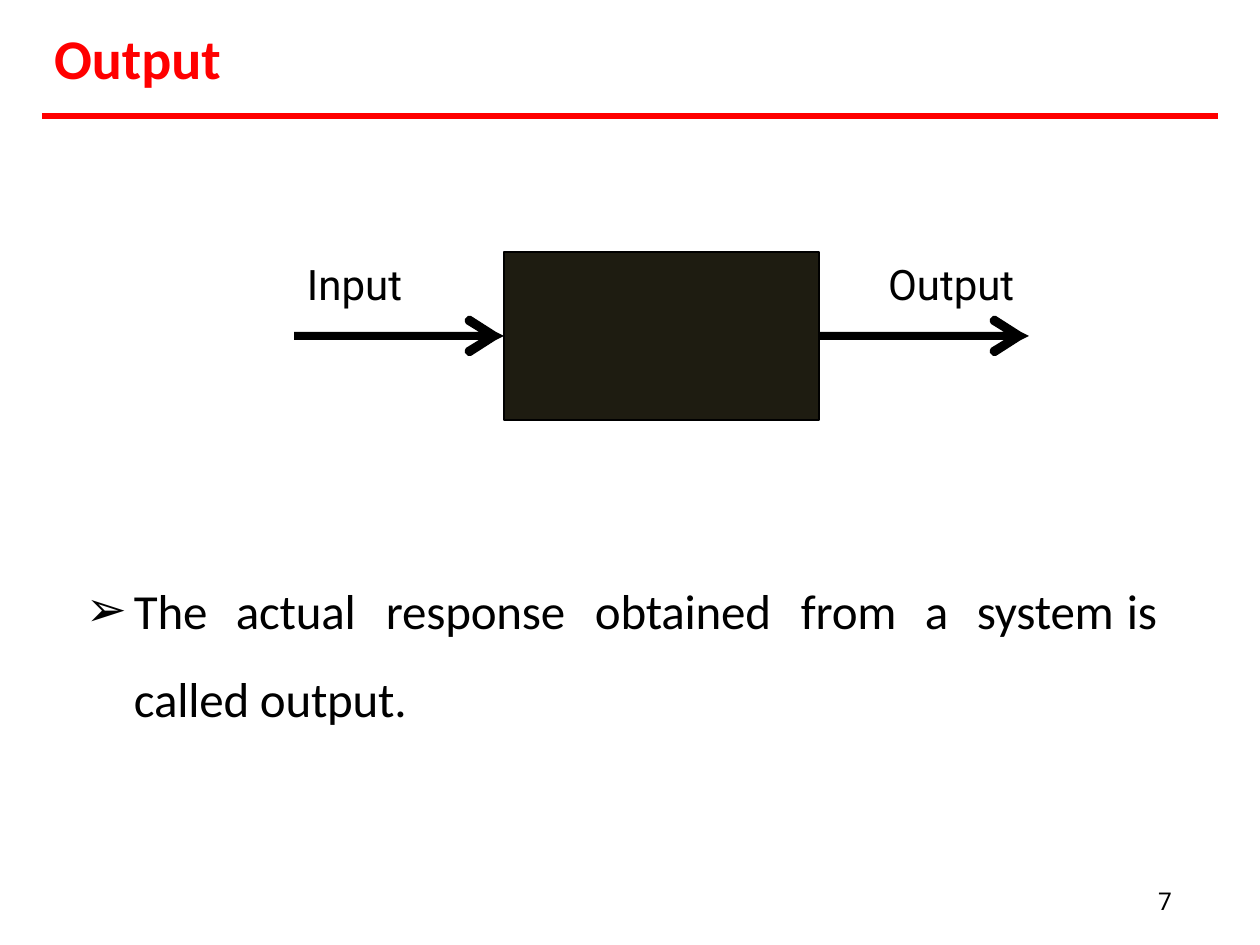
"""Build the slide that defines the output of a system."""
from dataclasses import dataclass

from lxml.etree import SubElement
from pptx import Presentation
from pptx.dml.color import RGBColor
from pptx.enum.shapes import MSO_CONNECTOR, MSO_SHAPE
from pptx.enum.text import MSO_ANCHOR, MSO_AUTO_SIZE
from pptx.enum.text import PP_ALIGN
from pptx.oxml.ns import qn
from pptx.util import Emu, Inches, Pt

RED = RGBColor(0xFF, 0x00, 0x00)
BLACK = RGBColor(0x00, 0x00, 0x00)
DARK = RGBColor(0x1E, 0x1C, 0x11)
PX_PER_INCH = 126
ARROW_HEAD = ((-25, -4), (-38, -12), (-39, -14), (-39, -17), (-36, -20),
              (-33, -20), (-8, -4))


@dataclass(frozen=True)
class Box:
    left: int
    top: int
    width: int
    height: int

    def emu(self) -> tuple[Emu, ...]:
        return tuple(px(v) for v in (self.left, self.top, self.width, self.height))


@dataclass(frozen=True)
class Signal:
    label: str
    label_box: Box
    start: int


def px(value: int) -> Emu:
    return Emu(round(value * 914400 / PX_PER_INCH))


def put_text(sp, box: Box, text: str, *, size: int, font: str = "Roboto",
             color: RGBColor = BLACK, bold: bool = False, before: float = 1,
             line_spacing: float = 1.0, indent: int = 0, spacing: int = 0):
    sp.left, sp.top, sp.width, sp.height = box.emu()
    tf = sp.text_frame
    tf.word_wrap = True
    tf.auto_size = MSO_AUTO_SIZE.NONE
    tf.vertical_anchor = MSO_ANCHOR.TOP
    tf.margin_left = px(indent)
    tf.margin_right = tf.margin_bottom = 0
    tf.margin_top = Inches(0.01)
    p = tf.paragraphs[0]
    p.alignment = PP_ALIGN.LEFT
    p.space_before = Pt(before)
    p.line_spacing = line_spacing
    r = p.add_run()
    r.text = text
    r.font.name, r.font.size, r.font.bold = font, Pt(size), bold
    r.font.color.rgb = color
    r._r.get_or_add_rPr().set("spc", str(spacing))
    return p


def set_bullet(p, char: str, hanging: int, tabs: tuple[int, ...]) -> None:
    pPr = p._p.get_or_add_pPr()
    pPr.set("marL", str(px(hanging)))
    pPr.set("indent", str(-px(hanging - 1)))
    SubElement(pPr, qn("a:buChar")).set("char", char)
    tab_list = SubElement(pPr, qn("a:tabLst"))
    for pos in tabs:
        tab = SubElement(tab_list, qn("a:tab"))
        tab.set("pos", str(px(pos)))
        tab.set("algn", "l")


def add_rule(s, start: int, end: int, y: int) -> None:
    sp = s.shapes.add_connector(MSO_CONNECTOR.STRAIGHT, px(start), px(y), px(end), px(y))
    sp.line.color.rgb = RED
    sp.line.width = Pt(3.96)
    SubElement(sp._element.spPr, qn("a:effectLst"))


def add_arrow(s, start: int, length: int, y: int) -> None:
    tip = start + length
    upper = [(start, y - 4)] + [(tip + dx, y + dy) for dx, dy in ARROW_HEAD]
    lower = [(x, 2 * y - py) for x, py in reversed(upper)]
    points = [(px(x), px(py)) for x, py in upper + [(tip, y)] + lower]
    builder = s.shapes.build_freeform(*points[0])
    builder.add_line_segments(points[1:], close=True)
    sp = builder.convert_to_shape()
    sp.shadow.inherit = False
    sp.fill.solid()
    sp.fill.fore_color.rgb = BLACK
    sp.line.fill.background()


def add_label(s, box: Box, text: str, *, size: int, indent: int = 0) -> None:
    put_text(s.shapes.add_textbox(*box.emu()), box, text, size=size, indent=indent)


def main() -> None:
    prs = Presentation()
    prs.slide_width, prs.slide_height = Inches(10), Inches(7.5)
    s = prs.slides.add_slide(prs.slide_layouts[1])
    title, body = s.placeholders
    put_text(title, Box(54, 22, 170, 71), "Output", size=32, font="Calibri",
             color=RED, bold=True)
    add_rule(s, 42, 1218, 116)

    p = put_text(body, Box(85, 550, 1091, 180),
                 "The\tactual\tresponse\tobtained\tfrom\ta\tsystem\tis called output.",
                 size=28, font="Calibri", before=0.9, line_spacing=1.5, spacing=-10)
    set_bullet(p, "\u27a2", 49, (49, 151, 301, 510, 716, 840, 892, 1042))

    system = Box(504, 252, 315, 168)
    sp = s.shapes.add_shape(MSO_SHAPE.RECTANGLE, *system.emu())
    sp.shadow.inherit = False
    sp.fill.solid()
    sp.fill.fore_color.rgb = DARK
    sp.line.color.rgb = BLACK
    sp.line.width = Pt(0.72)

    reach = 210
    signals = (
        Signal("Input", Box(307, 257, 103, 54), system.left - reach),
        Signal("Output", Box(888, 257, 132, 54), system.left + system.width),
    )
    for signal in signals:
        add_label(s, signal.label_box, signal.label, size=24)
        add_arrow(s, signal.start, reach, system.top + system.height // 2)

    add_label(s, Box(1154, 885, 34, 33), "7", size=14, indent=4)
    prs.save("out.pptx")


main()
